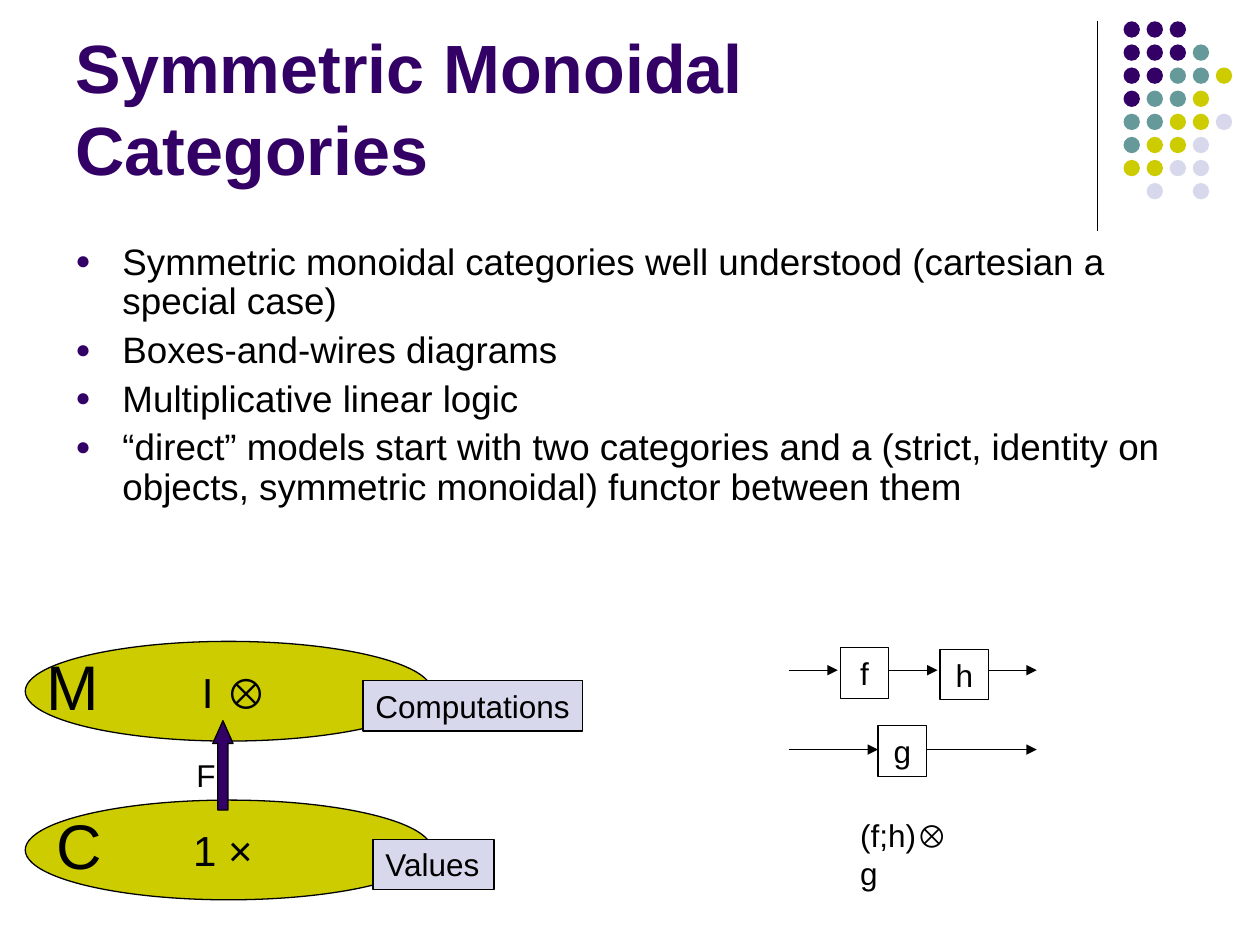
from lxml.etree import SubElement
from pptx import Presentation
from pptx.dml.color import RGBColor
from pptx.enum.shapes import MSO_CONNECTOR, MSO_SHAPE as Shape
from pptx.enum.text import MSO_ANCHOR as Anchor, PP_ALIGN as Align
from pptx.oxml.ns import qn
from pptx.util import Cm, Pt

BLACK = RGBColor(0x00, 0x00, 0x00)
PURPLE = RGBColor(0x33, 0x00, 0x66)
TEAL = RGBColor(0x66, 0x99, 0x99)
OLIVE = RGBColor(0xCC, 0xCC, 0x00)
LAVENDER = RGBColor(0xD8, 0xD8, 0xEC)

FONT = "Arial"
LABEL_HEIGHT = 1.02
DOT_COLORS = {"P": PURPLE, "T": TEAL, "O": OLIVE, "L": LAVENDER}
DOT_ROWS = ["PPP", "PPPT", "PPTTO", "PTTO", "TTOOL", "TOOL", "OOLL", " L L"]
BULLETS = [
    "Symmetric monoidal categories well understood (cartesian a special case)",
    "Boxes-and-wires diagrams",
    "Multiplicative linear logic",
    "“direct” models start with two categories and a (strict, identity on "
    "objects, symmetric monoidal) functor between them",
]


def add_run(paragraph, text, size, color=BLACK, bold=False):
    run = paragraph.add_run()
    run.text = text
    run.font.name = FONT
    run.font.size = Pt(size)
    run.font.bold = bold
    run.font.color.rgb = color


def add_text(slide, text, size, left, top, width, height, wrap=False):
    frame = slide.shapes.add_textbox(Cm(left), Cm(top), Cm(width), Cm(height)).text_frame
    frame.word_wrap = wrap
    add_run(frame.paragraphs[0], text, size)


def add_shape(shapes, kind, left, top, width, height, fill=None, outlined=True):
    shape = shapes.add_shape(kind, Cm(left), Cm(top), Cm(width), Cm(height))
    shape.shadow.inherit = False
    if fill is None:
        shape.fill.background()
    else:
        shape.fill.solid()
        shape.fill.fore_color.rgb = fill
    if outlined:
        shape.line.color.rgb = BLACK
        shape.line.width = Pt(0.75)
    else:
        shape.line.fill.background()
    return shape


def set_shape_text(shape, text, size, align=Align.CENTER, anchor=Anchor.MIDDLE, wrap=False):
    frame = shape.text_frame
    frame.word_wrap = wrap
    frame.vertical_anchor = anchor
    paragraph = frame.paragraphs[0]
    paragraph.alignment = align
    add_run(paragraph, text, size)


def add_line(slide, x1, y1, x2, y2, arrow=False):
    line = slide.shapes.add_connector(
        MSO_CONNECTOR.STRAIGHT, Cm(x1), Cm(y1), Cm(x2), Cm(y2))
    line.line.color.rgb = BLACK
    line.line.width = Pt(0.75)
    properties = line._element.spPr
    if arrow:
        SubElement(properties.find(qn("a:ln")), qn("a:tailEnd"), type="triangle")
    SubElement(properties, qn("a:effectLst"))


def add_bullet(paragraph, indent):
    properties = paragraph._p.get_or_add_pPr()
    properties.set("marL", str(Cm(indent)))
    properties.set("indent", str(-Cm(indent)))
    color = SubElement(properties, qn("a:buClr"))
    SubElement(color, qn("a:srgbClr"), val=str(PURPLE))
    SubElement(properties, qn("a:buSzPct"), val="70000")
    SubElement(properties, qn("a:buFont"), typeface=FONT)
    SubElement(properties, qn("a:buChar"), char="●")


def add_dot_ornament(slide, left, top, width, height):
    dot = 0.33
    column_pitch = (width - dot) / (max(map(len, DOT_ROWS)) - 1)
    row_pitch = (height - dot) / (len(DOT_ROWS) - 1)
    group = slide.shapes.add_group_shape()
    for row, codes in enumerate(DOT_ROWS):
        for column, code in enumerate(codes):
            if code in DOT_COLORS:
                add_shape(group.shapes, Shape.OVAL,
                          left + column * column_pitch, top + row * row_pitch,
                          dot, dot, DOT_COLORS[code], outlined=False)


def place_title(slide, left, top, width, height):
    title = slide.shapes.title
    title.left, title.top, title.width, title.height = map(Cm, (left, top, width, height))
    frame = title.text_frame
    frame.word_wrap = True
    frame.vertical_anchor = Anchor.BOTTOM
    paragraph = frame.paragraphs[0]
    paragraph.alignment = Align.LEFT
    add_run(paragraph, "Symmetric Monoidal Categories", 39, PURPLE, bold=True)


def add_bullet_list(slide, left, top, width, height):
    frame = slide.shapes.add_textbox(Cm(left), Cm(top), Cm(width), Cm(height)).text_frame
    frame.word_wrap = True
    for index, text in enumerate(BULLETS):
        paragraph = frame.add_paragraph() if index else frame.paragraphs[0]
        add_bullet(paragraph, 0.95)
        paragraph.line_spacing = 0.9
        if index:
            paragraph.space_before = Pt(5.2)
        add_run(paragraph, text, 21)


def add_functor_diagram(slide, left, top, width, height):
    """Two categories, one above the other, joined by the functor F."""
    oval_height = 2.01
    lower_top = top + height - oval_height
    categories = [
        ("C", 0.38, "1 × ", lower_top),
        ("M", 0.18, " I ⊗", top),
    ]
    for name, name_offset, structure, oval_top in categories:
        oval = add_shape(slide.shapes, Shape.OVAL, left, oval_top, width, oval_height, OLIVE)
        set_shape_text(oval, structure, 24)
        add_text(slide, name, 36, left + name_offset, oval_top, 1.5, 1.78)

    arrow = add_shape(slide.shapes, Shape.UP_ARROW, left + 3.78, top + 1.6, 0.41, 1.8, PURPLE)
    arrow.adjustments[0] = 0.5
    arrow.adjustments[1] = 1.12
    add_text(slide, "F", 18, left + 3.2, top + 2.18, 0.89, LABEL_HEIGHT)

    labels = [("Computations", 6.81, top, 4.42), ("Values", 7.01, lower_top, 2.44)]
    for text, offset, oval_top, label_width in labels:
        label = add_shape(slide.shapes, Shape.RECTANGLE, left + offset, oval_top + 0.79,
                          label_width, LABEL_HEIGHT, LAVENDER)
        set_shape_text(label, text, 18, Align.LEFT, Anchor.TOP)


def add_wire_diagram(slide, left, top, width):
    """Boxes f and h in sequence, in parallel with g, above their formula."""
    for name, x, y in [("f", 1.04, 0), ("g", 1.8, 1.57), ("h", 3.05, 0.03)]:
        box = add_shape(slide.shapes, Shape.RECTANGLE, left + x, top + y, 0.98, LABEL_HEIGHT)
        set_shape_text(box, name, 18, wrap=True)

    wires = {
        0.45: [(0, 0.99), (2.01, 3), (4.01, width)],
        2.05: [(0, 1.8), (2.79, width)],
    }
    for y, segments in wires.items():
        for start, end in segments:
            add_line(slide, left + start, top + y, left + end, top + y, arrow=True)
    add_text(slide, "(f;h)⊗g", 18, left + 1.19, top + 3.27, 2.49, LABEL_HEIGHT, wrap=True)


def main():
    presentation = Presentation()
    presentation.slide_width = Cm(25.4)
    presentation.slide_height = Cm(19.05)
    slide = presentation.slides.add_slide(presentation.slide_layouts[5])
    add_line(slide, 22.12, 0.43, 22.12, 4.65)
    add_dot_ornament(slide, 22.65, 0.43, 2.19, 3.59)
    place_title(slide, 1.27, 0.33, 20.96, 3.61)
    add_bullet_list(slide, 1.27, 4.78, 22.86, 6.55)
    add_functor_diagram(slide, 0.51, 12.93, 8.2, 5.21)
    add_wire_diagram(slide, 15.9, 13.06, 5)
    presentation.save("out.pptx")


if __name__ == "__main__":
    main()
